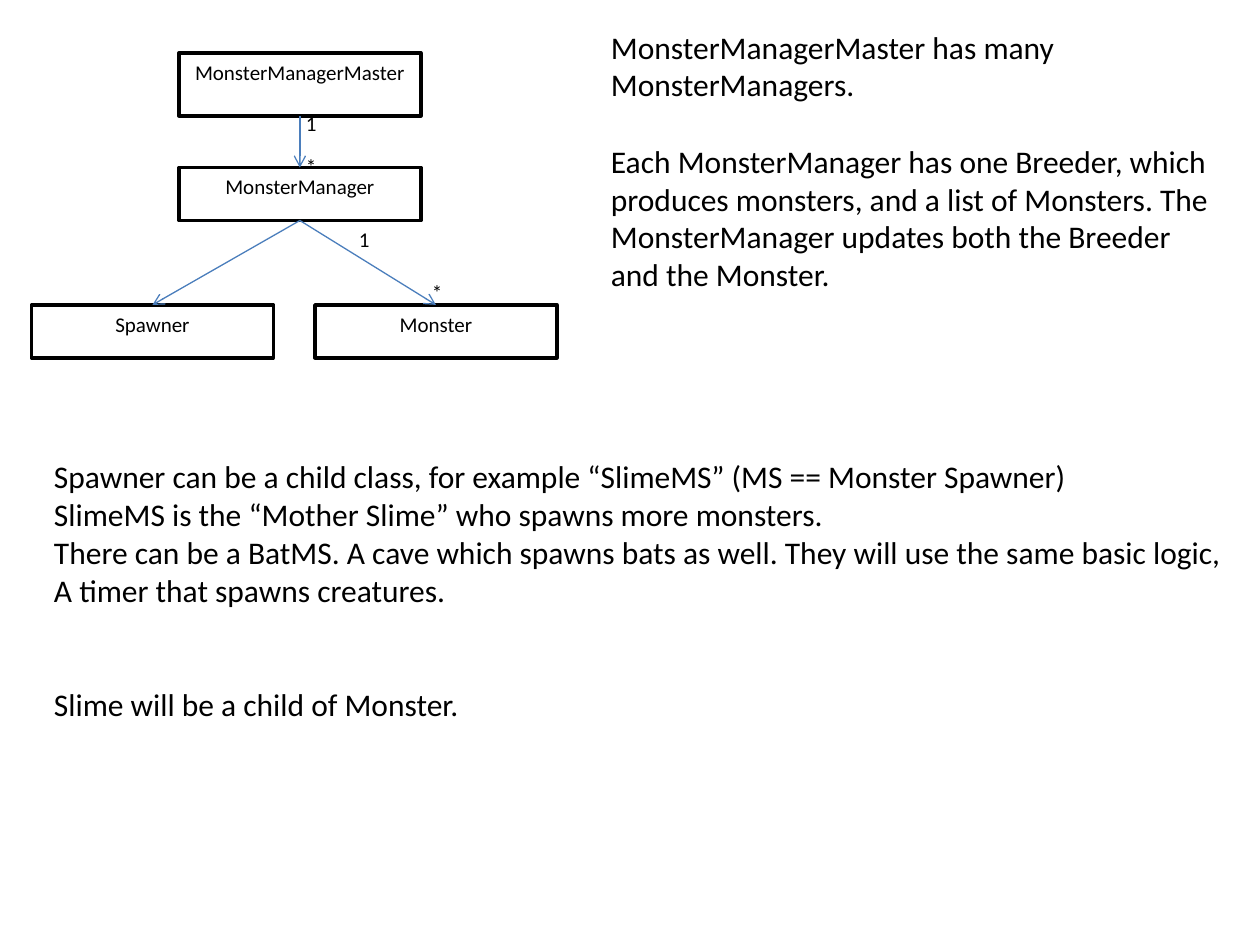
from dataclasses import dataclass

from lxml import etree
from pptx import Presentation
from pptx.dml.color import RGBColor
from pptx.enum.shapes import MSO_CONNECTOR, MSO_SHAPE
from pptx.enum.text import MSO_ANCHOR, MSO_AUTO_SIZE, PP_ALIGN
from pptx.oxml.ns import qn
from pptx.util import Inches, Pt

RECTANGLE = MSO_SHAPE.RECTANGLE
STRAIGHT = MSO_CONNECTOR.STRAIGHT
TOP = MSO_ANCHOR.TOP
GROW = MSO_AUTO_SIZE.SHAPE_TO_FIT_TEXT
LEFT, CENTER = PP_ALIGN.LEFT, PP_ALIGN.CENTER
TOP_SITE, BOTTOM_SITE = 0, 2


@dataclass(frozen=True)
class Theme:
    """Colours, font and sizes of the slide."""
    ink: RGBColor = RGBColor(0x00, 0x00, 0x00)
    paper: RGBColor = RGBColor(0xFF, 0xFF, 0xFF)
    arrow: RGBColor = RGBColor(0x4B, 0x7E, 0xBC)
    font: str = "Calibri"
    label: int = 12
    body: int = 18
    body_line: int = 22
    box_line: float = 2
    arrow_line: float = 0.75


theme = Theme()


def write_text(frame, lines, size, alignment=LEFT):
    """Fill a text frame from pairs of text and blank lines before it."""
    for index, (text, lines_before) in enumerate(lines):
        paragraph = frame.paragraphs[0] if index == 0 else frame.add_paragraph()
        paragraph.alignment = alignment
        paragraph.space_before = Pt(lines_before * theme.body_line)
        run = paragraph.add_run()
        run.text = text
        run.font.color.rgb = theme.ink
        formats = {"name": theme.font, "size": Pt(size)}
        for name, value in formats.items():
            setattr(run.font, name, value)


def add_text(slide, place, lines, size, wrap):
    """Add a text box that grows with its text."""
    frame = slide.shapes.add_textbox(*map(Inches, place)).text_frame
    frame.word_wrap = wrap
    frame.auto_size = GROW
    write_text(frame, lines, size)


presentation = Presentation()
presentation.slide_width = Inches(10)
presentation.slide_height = Inches(7.5)
slide = presentation.slides.add_slide(presentation.slide_layouts[6])

# Class boxes: name, left, top, height
class_boxes = [
    ("MonsterManagerMaster", 1.42, 0.42, 0.5),
    ("MonsterManager", 1.42, 1.33, 0.42),
    ("Spawner", 0.25, 2.42, 0.42),
    ("Monster", 2.5, 2.42, 0.42),
]
boxes = {}
for name, left, top, height in class_boxes:
    box = slide.shapes.add_shape(
        RECTANGLE, Inches(left), Inches(top), Inches(1.92), Inches(height))
    box.shadow.inherit = False
    box.fill.solid()
    box.fill.fore_color.rgb = theme.paper
    box.line.color.rgb = theme.ink
    box.line.width = Pt(theme.box_line)
    box.text_frame.vertical_anchor = TOP
    write_text(box.text_frame, [(name, 0)], theme.label, CENTER)
    boxes[name] = box

# Arrows from owner to owned class
relations = [
    ("MonsterManagerMaster", "MonsterManager"),
    ("MonsterManager", "Spawner"),
    ("MonsterManager", "Monster"),
]
for owner, owned in relations:
    arrow = slide.shapes.add_connector(STRAIGHT, 0, 0, 0, 0)
    arrow.begin_connect(boxes[owner], BOTTOM_SITE)
    arrow.end_connect(boxes[owned], TOP_SITE)
    arrow.line.color.rgb = theme.arrow
    arrow.line.width = Pt(theme.arrow_line)
    etree.SubElement(arrow.line._get_or_add_ln(), qn("a:tailEnd"), type="arrow")
    etree.SubElement(arrow._element.spPr, qn("a:effectLst"))

# Multiplicities beside the arrows
multiplicities = [("*", 3.33, 2.17), ("1", 2.75, 1.75),
                  ("1", 2.33, 0.83), ("*", 2.33, 1.17)]
for mark, left, top in multiplicities:
    add_text(slide, (left, top, 0.29, 0.3), [(mark, 0)], theme.label, False)

# Explanations
manager_lines = [
    ("MonsterManagerMaster has many MonsterManagers.", 0),
    ("Each MonsterManager has one Breeder, which produces monsters, and a list "
     "of Monsters. The MonsterManager updates both the Breeder and the Monster.", 1),
]
spawner_lines = [
    ("Spawner can be a child class, for example “SlimeMS” (MS == Monster Spawner)", 0),
    ("SlimeMS is the “Mother Slime” who spawns more monsters.", 0),
    ("There can be a BatMS. A cave which spawns bats as well. "
     "They will use the same basic logic,", 0),
    ("A timer that spawns creatures.", 0),
    ("Slime will be a child of Monster.", 2),
]
add_text(slide, (4.75, 0.17, 5.08, 2.22), manager_lines, theme.body, True)
add_text(slide, (0.33, 3.58, 9.58, 2.22), spawner_lines, theme.body, False)

presentation.save("out.pptx")
